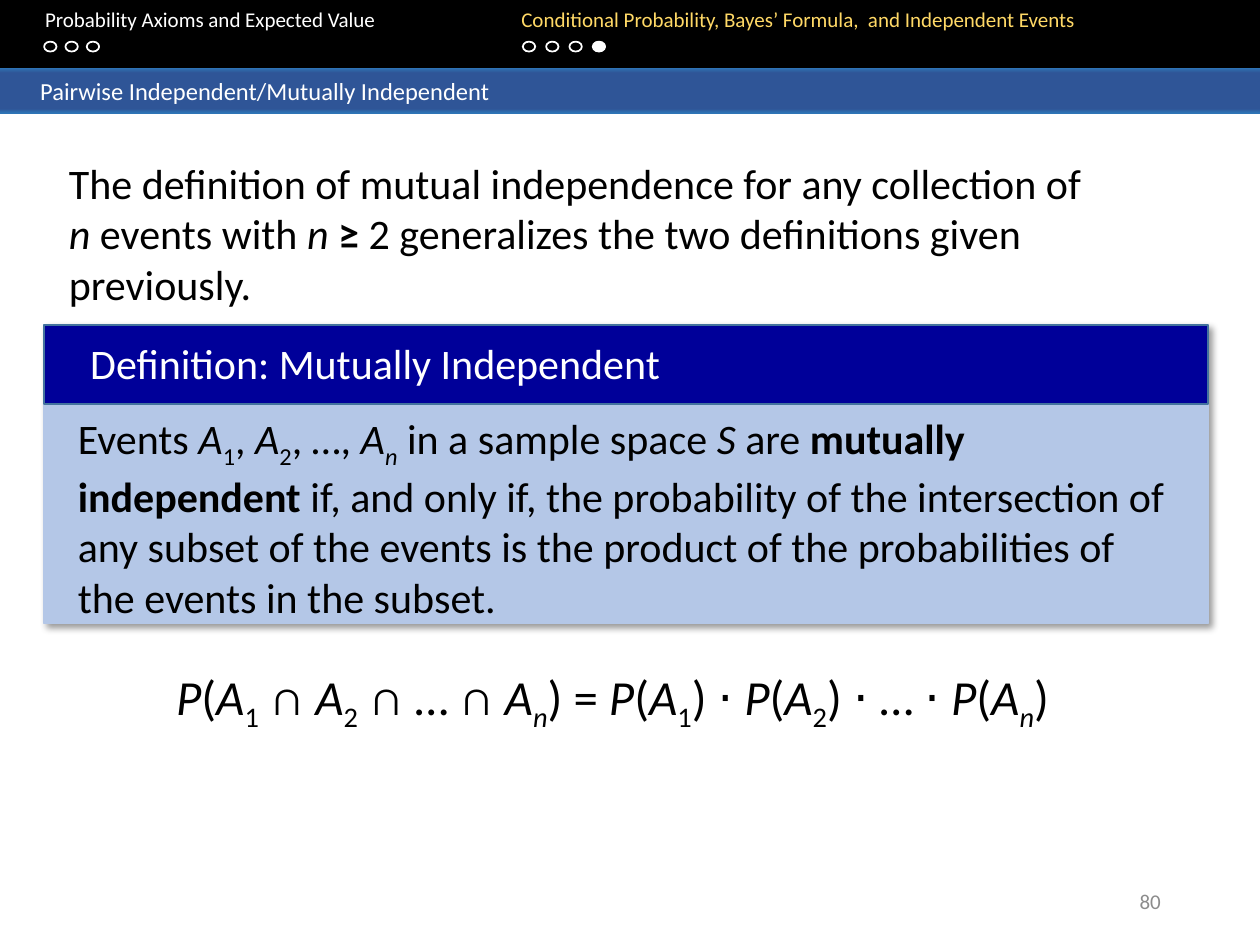
from dataclasses import dataclass
from typing import Optional, Sequence

from lxml import etree
from pptx import Presentation
from pptx import util as u
from pptx.dml.color import RGBColor
from pptx.enum import shapes, text
from pptx.oxml import ns


@dataclass(frozen=True)
class Theme:
    font: str = "Calibri"
    black: str = "000000"
    white: str = "FFFFFF"
    current: str = "FFD966"
    number: str = "8C8C8C"
    bar: str = "2F5597"
    bar_edge: str = "2E75B6"
    panel: str = "B4C7E7"
    band: str = "000099"
    band_edge: str = "43739E"
    small: int = 12
    section: int = 14
    body: int = 24
    formula: int = 28


@dataclass(frozen=True)
class Box:
    """Position and size in centimetres."""
    left: float
    top: float
    width: float
    height: float

    def lengths(self) -> list:
        return [u.Cm(v) for v in (self.left, self.top, self.width, self.height)]


@dataclass(frozen=True)
class Run:
    text: str
    italic: bool = False
    bold: bool = False
    sub: bool = False
    color: Optional[str] = None


@dataclass(frozen=True)
class Chapter:
    title: str
    color: str
    tab: float
    first_dot: float
    pitch: float
    dots: int
    current: Optional[int] = None


THEME = Theme()
CHAPTERS = (
    Chapter("Probability Axioms and Expected Value", THEME.white, 0.66, 0.89, 0.43, 3),
    Chapter("Conditional Probability, Bayes’ Formula,  and Independent Events",
            THEME.current, 10.26, 10.54, 0.47, 4, current=3),
)


def var(name: str) -> Run:
    return Run(name, italic=True)


def event(index: str) -> list[Run]:
    """The letter A with a subscript; a letter as subscript is italic."""
    return [var("A"), Run(index, italic=index.isalpha(), sub=True)]


def prob(index: str) -> list[Run]:
    return [var("P"), Run("("), *event(index), Run(")")]


def add_block(parent, box: Box, fill: Optional[str] = None, line: Optional[str] = None,
              kind=shapes.MSO_SHAPE.RECTANGLE):
    block = parent.add_shape(kind, *box.lengths())
    block.shadow.inherit = False
    if fill:
        block.fill.solid()
        block.fill.fore_color.rgb = RGBColor.from_string(fill)
    else:
        block.fill.background()
    if line:
        block.line.color.rgb = RGBColor.from_string(line)
        block.line.width = u.Pt(1)
    else:
        block.line.fill.background()
    return block


def write(frame, runs: Sequence[Run], size: int, color: Optional[str] = None,
          align=text.PP_ALIGN.LEFT, anchor=text.MSO_ANCHOR.TOP):
    frame.word_wrap = True
    frame.vertical_anchor = anchor
    paragraph = frame.paragraphs[0]
    paragraph.alignment = align
    paragraph.font.name = THEME.font
    paragraph.font.size = u.Pt(size)
    if color:
        paragraph.font.color.rgb = RGBColor.from_string(color)
    for part in runs:
        run = paragraph.add_run()
        run.text = part.text
        if part.italic:
            run.font.italic = True
        if part.bold:
            run.font.bold = True
        if part.sub:
            run.font._element.set("baseline", "-25000")
        if part.color:
            run.font.color.rgb = RGBColor.from_string(part.color)
    return paragraph


def add_text(parent, box: Box, runs: Sequence[Run], size: int,
             color: Optional[str] = None, **layout):
    return write(parent.add_textbox(*box.lengths()).text_frame, runs, size, color, **layout)


def set_tabs(paragraph, stops: Sequence[float]) -> None:
    properties = paragraph._p.get_or_add_pPr()
    tabs = etree.Element(ns.qn("a:tabLst"))
    for stop in stops:
        etree.SubElement(tabs, ns.qn("a:tab"), pos=str(u.Cm(stop)), algn="l")
    properties.find(ns.qn("a:defRPr")).addprevious(tabs)


def shade_bar(bar) -> None:
    """Vertical gradient with a narrow lighter edge above and below."""
    bar.fill.gradient()
    bar.fill.gradient_angle = 270
    stops = bar._element.spPr.find(ns.qn("a:gradFill")).find(ns.qn("a:gsLst"))
    for old in list(stops):
        stops.remove(old)
    for percent, color in ((0, THEME.bar_edge), (11, THEME.bar),
                           (91, THEME.bar), (100, THEME.bar_edge)):
        stop = etree.SubElement(stops, ns.qn("a:gs"), pos=str(percent * 1000))
        etree.SubElement(stop, ns.qn("a:srgbClr"), val=color)


def drop_shadow(block) -> None:
    effects = block._element.spPr.find(ns.qn("a:effectLst"))
    shadow = etree.SubElement(effects, ns.qn("a:outerShdw"), blurRad=str(u.Pt(4)),
                              dist=str(u.Pt(3)), dir=str(45 * 60000), algn="tl",
                              rotWithShape="0")
    color = etree.SubElement(shadow, ns.qn("a:srgbClr"), val=THEME.black)
    etree.SubElement(color, ns.qn("a:alpha"), val="40000")


def add_header(parent) -> None:
    add_block(parent, Box(0, -0.05, 25.4, 1.42), THEME.black)
    titles = add_text(parent, Box(0, 0, 25.4, 1.27),
                      [Run("\t" + c.title, color=c.color) for c in CHAPTERS], THEME.small)
    set_tabs(titles, [c.tab for c in CHAPTERS])
    for chapter in CHAPTERS:
        for i in range(chapter.dots):
            add_block(parent, Box(chapter.first_dot + i * chapter.pitch, 0.84, 0.25, 0.2),
                      THEME.white if i == chapter.current else None, THEME.white,
                      shapes.MSO_SHAPE.OVAL)
    bar = add_block(parent, Box(0, 1.37, 25.4, 0.91))
    shade_bar(bar)
    bar.text_frame.margin_left = u.Cm(0.81)
    write(bar.text_frame, [Run("Pairwise Independent/Mutually Independent")],
          THEME.section, THEME.white, anchor=text.MSO_ANCHOR.MIDDLE)


def add_definition(parent) -> None:
    drop_shadow(add_block(parent, Box(0.89, 6.55, 23.47, 6.02), THEME.panel, THEME.panel))
    add_block(parent, Box(0.89, 6.55, 23.47, 1.6), THEME.band, THEME.band_edge)
    add_text(parent, Box(1.57, 6.68, 22.07, 1.27),
             [Run("Definition: Mutually Independent")], THEME.body, THEME.white)
    add_text(parent, Box(1.32, 8.2, 22.73, 4.37), [
        Run("Events "), *event("1"), Run(", "), *event("2"), Run(", …, "), *event("n"),
        Run(" in a sample space "), var("S"), Run(" are "),
        Run("mutually independent ", bold=True),
        Run("if, and only if, the probability of the intersection of any subset of the "
            "events is the product of the probabilities of the events in the subset."),
    ], THEME.body, THEME.black)


def main() -> None:
    deck = Presentation()
    deck.slide_width, deck.slide_height = u.Cm(25.4), u.Cm(19.05)
    slide = deck.slides.add_slide(deck.slide_layouts[6])
    add_header(slide.shapes)
    add_text(slide.shapes, Box(1.14, 3.05, 21.26, 3.48), [
        Run("The definition of mutual independence for any collection of "), var("n"),
        Run(" events with "), var("n "), Run("≥ ", bold=True),
        Run("2 generalizes the two definitions given previously."),
    ], THEME.body, THEME.black)
    add_definition(slide.shapes.add_group_shape().shapes)
    add_text(slide.shapes, Box(3.3, 13.31, 18.62, 1.45), [
        var("P"), Run("("), *event("1"), Run(" ∩ "), *event("2"), Run(" ∩ … ∩ "),
        *event("n"), Run(") = "), *prob("1"), Run(" ⋅ "), *prob("2"), Run(" ⋅ … ⋅ "),
        *prob("n"),
    ], THEME.formula, THEME.black)
    add_text(slide.shapes, Box(17.93, 17.65, 5.72, 1.02), [Run("80")], THEME.small,
             THEME.number, align=text.PP_ALIGN.RIGHT, anchor=text.MSO_ANCHOR.MIDDLE)
    deck.save("out.pptx")


if __name__ == "__main__":
    main()
